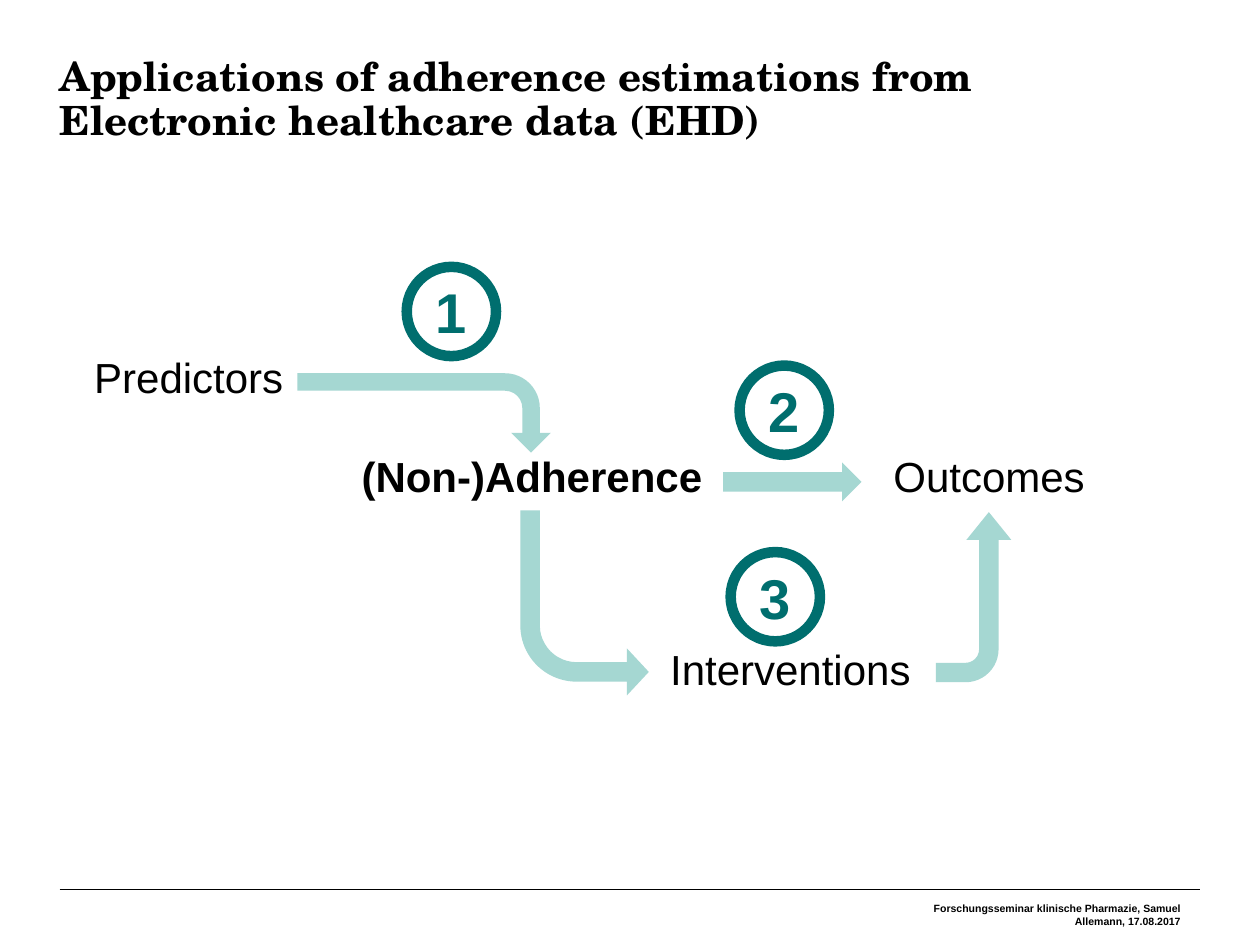
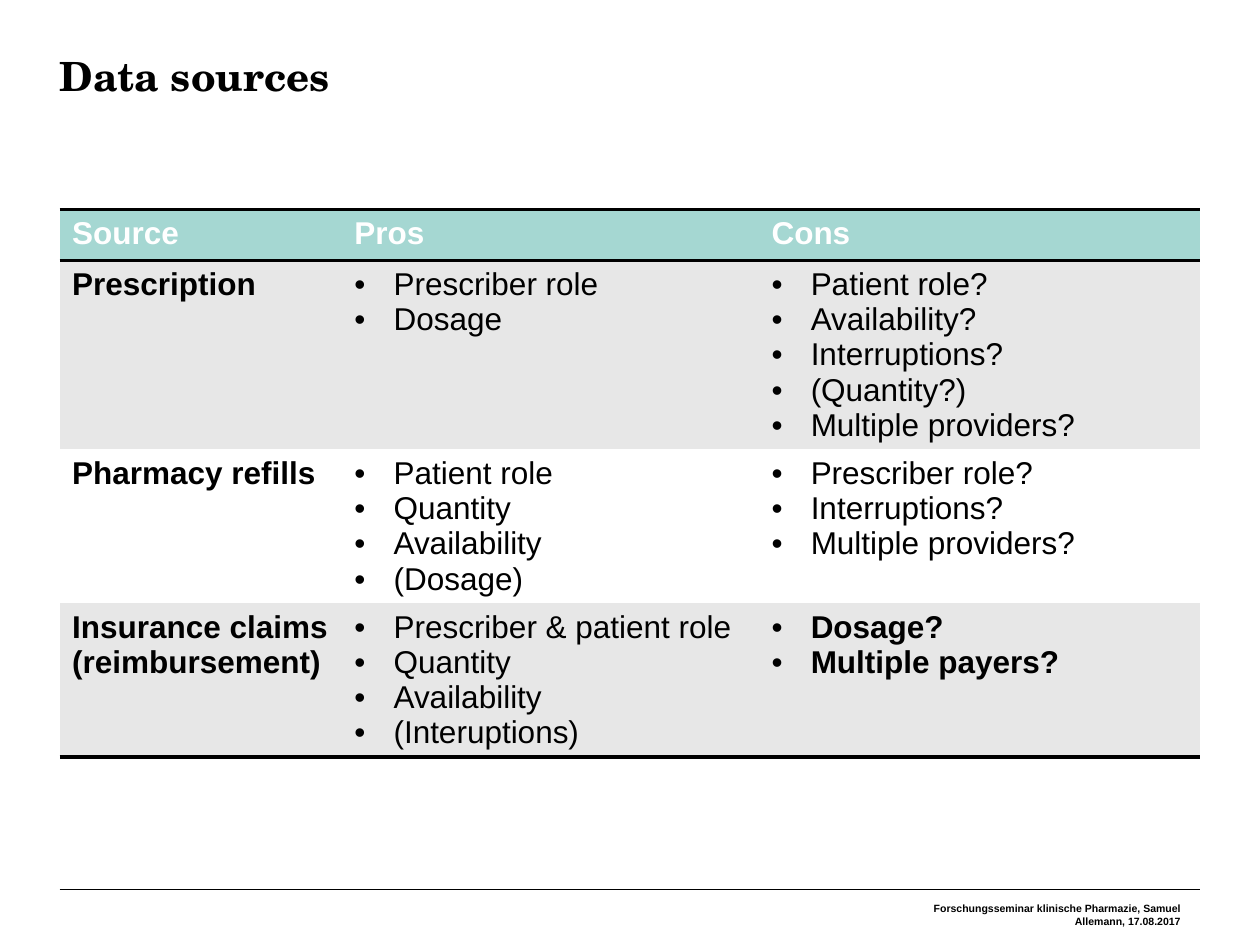
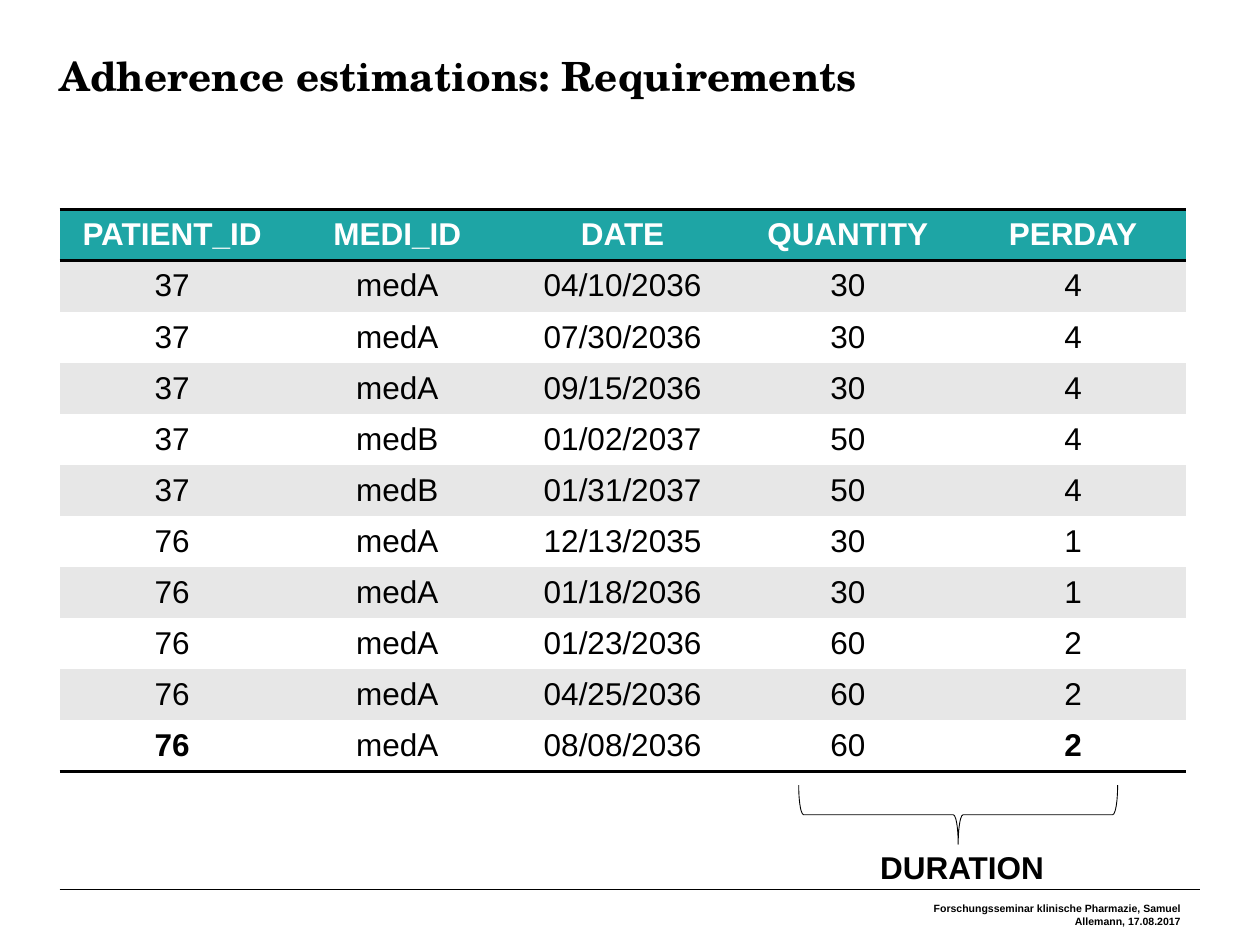
"""Builds three slides on estimating medication adherence from healthcare data."""

from dataclasses import dataclass

from lxml.etree import SubElement
from pptx import Presentation
from pptx.dml.color import RGBColor
from pptx.enum.shapes import MSO_CONNECTOR as Connector, MSO_SHAPE as Preset
from pptx.enum.text import MSO_ANCHOR as Anchor, MSO_AUTO_SIZE as AutoSize, PP_ALIGN as Align
from pptx.oxml.ns import qn
from pptx.slide import Slide
from pptx.table import _Cell as Cell
from pptx.text.text import TextFrame, _Paragraph as Paragraph
from pptx.util import Cm, Pt

COLORS = {
    "ink": "000000",
    "paper": "FFFFFF",
    "mint": "A5D7D2",
    "teal": "1EA5A5",
    "deep_teal": "006E6E",
    "band": "E7E7E7",
}
BODY_FONT = "Arial"
TITLE_FONT = "TeX Gyre Schola"
FOOTER = "Forschungsseminar klinische Pharmazie, Samuel Allemann, 17.08.2017"
MARGIN = 1.2
CONTENT_WIDTH = 23.0
TABLE_TOP = 4.22
ROW_HEIGHT = 1.03
LABEL_HEIGHT = 0.79
BADGE_SIZE = 1.8
PLAIN_TABLE = "{2D5ABB26-0587-4C30-8999-92F81FD0307C}"


@dataclass(frozen=True)
class Style:
    """Character formatting of a run."""

    size: float
    bold: bool = False
    color: str = "ink"
    font: str = BODY_FONT


@dataclass(frozen=True)
class Label:
    """A single-line text box, in centimetres."""

    text: str
    left: float
    top: float
    width: float
    style: Style
    align: Align = Align.LEFT


@dataclass(frozen=True)
class Arrow:
    """A block arrow, in centimetres before rotation."""

    preset: Preset
    left: float
    top: float
    width: float
    height: float
    rotation: int = 0
    flipped: bool = False
    adjustments: tuple[float, ...] = ()


@dataclass(frozen=True)
class Badge:
    """A numbered ring, in centimetres."""

    number: str
    left: float
    top: float


@dataclass(frozen=True)
class Entry:
    """The lines of one table cell."""

    lines: tuple[str, ...]
    bold: bool = False
    bulleted: bool = False


@dataclass(frozen=True)
class Grid:
    """A banded table with a ruled header."""

    header: tuple[str, ...]
    rows: list[list[Entry]]
    widths: list[float]
    heights: list[float]
    header_fill: str
    align: Align = Align.LEFT
    anchor: Anchor = Anchor.TOP


TITLE_STYLE = Style(23, True, font=TITLE_FONT)
FOOTER_STYLE = Style(6, True)
CONCEPT_STYLE = Style(24)
BADGE_STYLE = Style(32, True, "deep_teal")


def rgb(name: str) -> RGBColor:
    """Looks up a palette colour."""
    return RGBColor.from_string(COLORS[name])


def add_run(paragraph: Paragraph, text: str, style: Style) -> None:
    """Adds one formatted run to a paragraph."""
    run = paragraph.add_run()
    run.text = text
    run.font.name = style.font
    run.font.size = Pt(style.size)
    run.font.bold = style.bold
    run.font.color.rgb = rgb(style.color)


def clear_insets(frame: TextFrame, top: float = 0) -> None:
    """Wraps a text frame and removes its inner margins."""
    frame.word_wrap = True
    frame.auto_size = AutoSize.NONE
    frame.vertical_anchor = Anchor.TOP
    frame.margin_left = frame.margin_right = frame.margin_bottom = Cm(0)
    frame.margin_top = Cm(top)


def add_label(shapes, label: Label) -> None:
    """Draws a label in a slide or group."""
    box = shapes.add_textbox(
        Cm(label.left), Cm(label.top), Cm(label.width), Cm(LABEL_HEIGHT)
    )
    clear_insets(box.text_frame)
    paragraph = box.text_frame.paragraphs[0]
    paragraph.alignment = label.align
    paragraph.line_spacing = Pt(22)
    add_run(paragraph, label.text, label.style)


def add_arrow(slide: Slide, arrow: Arrow) -> None:
    """Draws a borderless block arrow."""
    shape = slide.shapes.add_shape(
        arrow.preset, Cm(arrow.left), Cm(arrow.top), Cm(arrow.width), Cm(arrow.height)
    )
    shape.shadow.inherit = False
    shape.fill.solid()
    shape.fill.fore_color.rgb = rgb("mint")
    shape.line.fill.background()
    shape.rotation = arrow.rotation
    if arrow.flipped:
        shape._element.spPr.xfrm.set("flipV", "1")
    for index, value in enumerate(arrow.adjustments):
        shape.adjustments[index] = value


def add_badge(slide: Slide, badge: Badge) -> None:
    """Draws a numbered ring."""
    ring = slide.shapes.add_shape(
        Preset.OVAL, Cm(badge.left), Cm(badge.top), Cm(BADGE_SIZE), Cm(BADGE_SIZE)
    )
    ring.shadow.inherit = False
    ring.fill.background()
    ring.line.color.rgb = rgb("deep_teal")
    ring.line.width = Pt(6)
    ring.text_frame.vertical_anchor = Anchor.MIDDLE
    paragraph = ring.text_frame.paragraphs[0]
    paragraph.alignment = Align.CENTER
    add_run(paragraph, badge.number, BADGE_STYLE)


def add_bullet(paragraph: Paragraph) -> None:
    """Gives a paragraph a hanging bullet."""
    properties = paragraph._p.get_or_add_pPr()
    properties.set("marL", str(Cm(0.79)))
    properties.set("indent", str(Cm(-0.79)))
    SubElement(properties, qn("a:buFont"), typeface=BODY_FONT)
    SubElement(properties, qn("a:buChar"), char="•")


def add_border(cell: Cell, edge: str) -> None:
    """Rules one edge of a cell."""
    line = SubElement(cell._tc.get_or_add_tcPr(), qn(f"a:{edge}"), w=str(Pt(2)))
    fill = SubElement(line, qn("a:solidFill"))
    SubElement(fill, qn("a:srgbClr"), val=COLORS["ink"])


def fill_cell(cell: Cell, entry: Entry, grid: Grid, fill: str, ink: str) -> None:
    """Fills a cell with colour and text."""
    cell.fill.solid()
    cell.fill.fore_color.rgb = rgb(fill)
    cell.vertical_anchor = grid.anchor
    frame = cell.text_frame
    for index, text in enumerate(entry.lines):
        paragraph = frame.add_paragraph() if index else frame.paragraphs[0]
        paragraph.alignment = grid.align
        if entry.bulleted:
            add_bullet(paragraph)
        add_run(paragraph, text, Style(18, entry.bold, ink))


def add_grid(slide: Slide, grid: Grid) -> None:
    """Draws a table with header, bands and rules."""
    table = slide.shapes.add_table(
        len(grid.heights), len(grid.widths), Cm(MARGIN), Cm(TABLE_TOP),
        Cm(sum(grid.widths)), Cm(sum(grid.heights)),
    ).table
    table._tbl.tblPr.find(qn("a:tableStyleId")).text = PLAIN_TABLE
    for column, width in zip(table.columns, grid.widths):
        column.width = Cm(width)
    for row, height in zip(table.rows, grid.heights):
        row.height = Cm(height)
    header = [Entry((name,), bold=True) for name in grid.header]
    for row_index, entries in enumerate([header, *grid.rows]):
        is_header = row_index == 0
        fill = grid.header_fill if is_header else ("paper", "band")[row_index % 2]
        ink = "paper" if is_header else "ink"
        for column_index, entry in enumerate(entries):
            cell = table.cell(row_index, column_index)
            if is_header:
                add_border(cell, "lnT")
            if row_index in (0, len(grid.rows)):
                add_border(cell, "lnB")
            fill_cell(cell, entry, grid, fill, ink)


def add_footer_rule(layout, slide: Slide) -> None:
    """Draws the footer rule and hands it to the shared layout."""
    rule = slide.shapes.add_connector(
        Connector.STRAIGHT, Cm(MARGIN), Cm(17.93), Cm(MARGIN + CONTENT_WIDTH), Cm(17.93)
    )
    rule.line.color.rgb = rgb("ink")
    rule.line.width = Pt(0.25)
    SubElement(rule._element.spPr, qn("a:effectLst"))
    layout.shapes._spTree.append(rule._element)


def add_slide(deck, layout, heading: str, title_width: float = CONTENT_WIDTH) -> Slide:
    """Adds a slide with its title and footer."""
    slide = deck.slides.add_slide(layout)
    title = slide.shapes.title
    title.left, title.top = Cm(MARGIN), Cm(1.12)
    title.width, title.height = Cm(title_width), Cm(2.11)
    clear_insets(title.text_frame)
    paragraph = title.text_frame.paragraphs[0]
    paragraph.alignment = Align.LEFT
    paragraph.line_spacing = Pt(25)
    add_run(paragraph, heading, TITLE_STYLE)

    footer = slide.shapes.add_textbox(Cm(18.49), Cm(18.14), Cm(5.31), Cm(0.51))
    clear_insets(footer.text_frame, top=0.05)
    credit = footer.text_frame.paragraphs[0]
    credit.alignment = Align.RIGHT
    add_run(credit, FOOTER, FOOTER_STYLE)
    return slide


def build_applications(slide: Slide) -> None:
    """Draws the flow from predictors to outcomes."""
    concepts = [
        Label("Outcomes", 18.01, 9.32, 3.89, CONCEPT_STYLE),
        Label("(Non-)Adherence", 7.29, 9.32, 7.29, Style(24, True)),
        Label("Predictors", 1.9, 7.32, 4.39, CONCEPT_STYLE),
        Label("Interventions", 13.51, 13.21, 4.95, CONCEPT_STYLE),
    ]
    arrows = [
        Arrow(Preset.BENT_ARROW, 7.75, 5.77, 1.6, 5.11, 90,
              adjustments=(0.221, 0.25, 0.25, 0.438)),
        Arrow(Preset.RIGHT_ARROW, 14.58, 9.32, 2.79, 0.79),
        Arrow(Preset.BENT_ARROW, 10.49, 10.29, 2.59, 3.73, flipped=True,
              adjustments=(0.152, 0.183, 0.17, 0.438)),
        Arrow(Preset.BENT_ARROW, 17.91, 11.28, 3.43, 1.52, 270, True,
              (0.258, 0.297, 0.367, 0.438)),
    ]
    badges = [Badge("1", 8.2, 5.38), Badge("2", 14.91, 7.37), Badge("3", 14.73, 11.13)]
    for concept in concepts:
        add_label(slide.shapes, concept)
    for arrow in arrows:
        add_arrow(slide, arrow)
    for badge in badges:
        add_badge(slide, badge)


def build_sources(slide: Slide) -> None:
    """Draws the comparison of data sources."""
    sources = [
        ("Prescription", ("Prescriber role", "Dosage"),
         ("Patient role?", "Availability?", "Interruptions?", "(Quantity?)",
          "Multiple providers?")),
        ("Pharmacy refills", ("Patient role", "Quantity", "Availability", "(Dosage)"),
         ("Prescriber role?", "Interruptions?", "Multiple providers?")),
        ("Insurance claims (reimbursement)",
         ("Prescriber & patient role", "Quantity", "Availability", "(Interuptions)"),
         ("Dosage?", "Multiple payers?")),
    ]
    rows = [
        [
            Entry((source,), bold=True),
            Entry(pros, bulleted=True),
            Entry(cons, bold=source.startswith("Insurance"), bulleted=True),
        ]
        for source, pros, cons in sources
    ]
    add_grid(slide, Grid(("Source", "Pros", "Cons"), rows, [5.69, 8.41, 8.9],
                         [ROW_HEIGHT, 3.81, 3.1, 3.1], "mint"))


def build_requirements(slide: Slide) -> None:
    """Draws the refill records and the duration brace."""
    fields = ("PATIENT_ID", "MEDI_ID", "DATE", "QUANTITY", "PERDAY")
    refills = [
        ("37", "medA", "04/10/2036", "30", "4"),
        ("37", "medA", "07/30/2036", "30", "4"),
        ("37", "medA", "09/15/2036", "30", "4"),
        ("37", "medB", "01/02/2037", "50", "4"),
        ("37", "medB", "01/31/2037", "50", "4"),
        ("76", "medA", "12/13/2035", "30", "1"),
        ("76", "medA", "01/18/2036", "30", "1"),
        ("76", "medA", "01/23/2036", "60", "2"),
        ("76", "medA", "04/25/2036", "60", "2"),
        ("76", "medA", "08/08/2036", "60", "2"),
    ]
    emphasized = {"PATIENT_ID", "PERDAY"}
    rows = [
        [
            Entry((value,), bold=refill is refills[-1] and field in emphasized)
            for field, value in zip(fields, refill)
        ]
        for refill in refills
    ]
    add_grid(slide, Grid(fields, rows, [4.54] * len(fields),
                         [ROW_HEIGHT] * (len(refills) + 1), "teal",
                         Align.CENTER, Anchor.MIDDLE))

    duration = slide.shapes.add_group_shape()
    brace = duration.shapes.add_shape(
        Preset.RIGHT_BRACE, Cm(18.72), Cm(13.21), Cm(1.19), Cm(6.43)
    )
    brace.rotation = 90
    brace.shadow.inherit = False
    brace.fill.background()
    brace.line.color.rgb = rgb("ink")
    brace.line.width = Pt(0.5)
    add_label(duration.shapes,
              Label("DURATION", 17.3, 17.09, 4.19, Style(18, True), Align.CENTER))


def main() -> None:
    """Builds and saves the deck."""
    deck = Presentation()
    deck.slide_width, deck.slide_height = Cm(25.4), Cm(19.05)
    layout = deck.slide_layouts[5]
    applications = add_slide(
        deck, layout,
        "Applications of adherence estimations from Electronic healthcare data (EHD)", 21.31,
    )
    add_footer_rule(layout, applications)
    build_applications(applications)
    build_sources(add_slide(deck, layout, "Data sources"))
    build_requirements(add_slide(deck, layout, "Adherence estimations: Requirements"))
    deck.save("out.pptx")


main()
